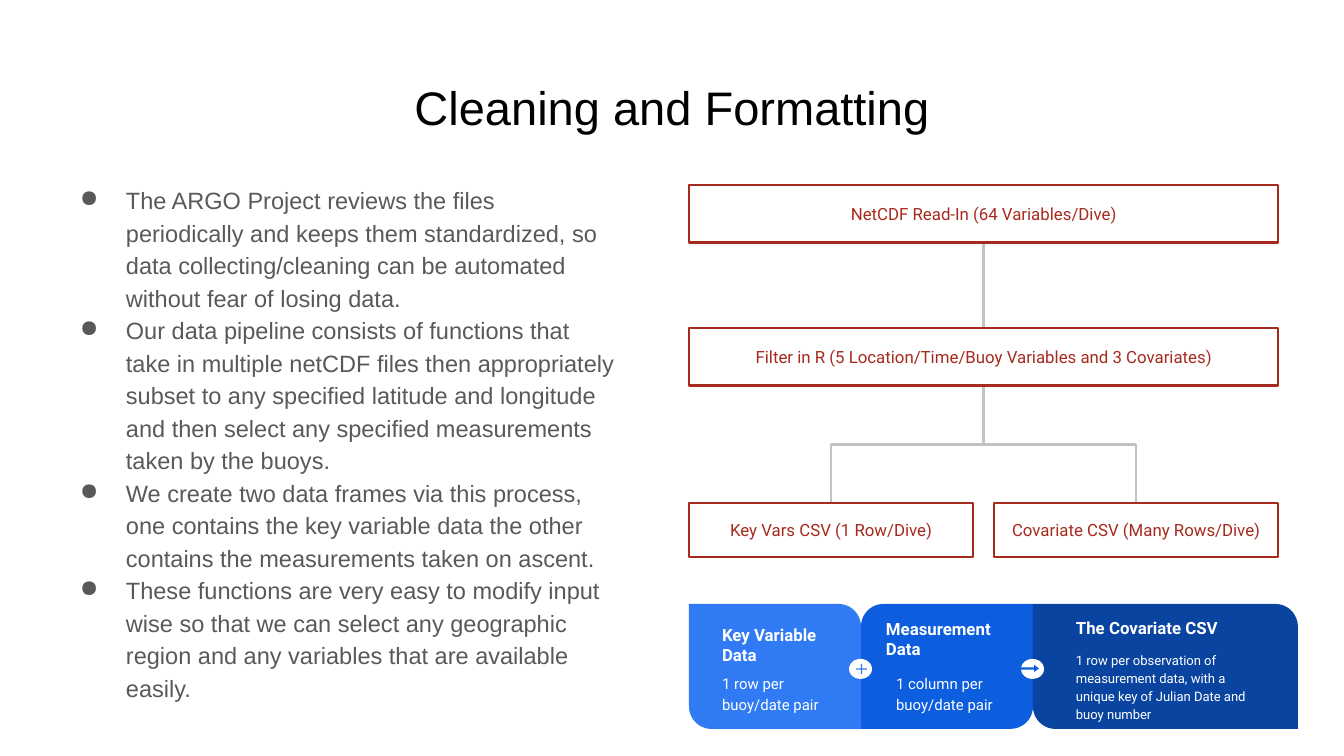
from lxml.etree import SubElement
from pptx import Presentation
from pptx.dml.color import RGBColor
from pptx.enum.shapes import MSO_CONNECTOR, MSO_SHAPE
from pptx.enum.text import MSO_ANCHOR, PP_ALIGN
from pptx.oxml.ns import qn
from pptx.util import Pt

PX = 914400 / 134.4
BLACK = RGBColor(0x00, 0x00, 0x00)
WHITE = RGBColor(0xFF, 0xFF, 0xFF)
GRAY = RGBColor(0x59, 0x59, 0x59)
LINE_GRAY = RGBColor(0xC2, 0xC2, 0xC2)
RED = RGBColor(0xA7, 0x2A, 0x1E)
LIGHT_BLUE = RGBColor(0x30, 0x7B, 0xF3)
BLUE = RGBColor(0x0D, 0x5D, 0xDF)
DARK_BLUE = RGBColor(0x09, 0x44, 0xA1)

BULLETS = [
    "The ARGO Project reviews the files periodically and keeps them standardized, "
    "so data collecting/cleaning can be automated without fear of losing data.",
    "Our data pipeline consists of functions that take in multiple netCDF files then "
    "appropriately subset to any specified latitude and longitude and then select any "
    "specified measurements taken by the buoys.",
    "We create two data frames via this process, one contains the key variable data "
    "the other contains the measurements taken on ascent.",
    "These functions are very easy to modify input wise so that we can select any "
    "geographic region and any variables that are available easily.",
]


def px(n):
    """Turn px into EMU."""
    return round(n * PX)


def fill_text(s, paragraphs, size, color, font="Roboto", bold=False,
              align=PP_ALIGN.LEFT, anchor=MSO_ANCHOR.TOP, spacing=1.0):
    """Write one run per paragraph into a shape and return the paragraphs."""
    tf = s.text_frame
    tf.word_wrap = True
    tf.vertical_anchor = anchor
    tf.margin_left = tf.margin_right = tf.margin_top = tf.margin_bottom = px(13)
    for i, text in enumerate(paragraphs):
        p = tf.paragraphs[0] if i == 0 else tf.add_paragraph()
        p.alignment = align
        p.line_spacing = spacing
        r = p.add_run()
        r.text = text
        r.font.size = Pt(size)
        r.font.name = font
        r.font.bold = bold
        r.font.color.rgb = color
    return tf.paragraphs


def add_text(slide, box, paragraphs, size, color, **style):
    """Add a text box and return its paragraphs."""
    s = slide.shapes.add_textbox(*map(px, box))
    return fill_text(s, paragraphs, size, color, **style)


def add_solid(slide, kind, box, fill, adjustments=()):
    """Add a filled shape without outline."""
    s = slide.shapes.add_shape(kind, *map(px, box))
    s.shadow.inherit = False
    s.fill.solid()
    s.fill.fore_color.rgb = fill
    s.line.fill.background()
    for i, value in enumerate(adjustments):
        s.adjustments[i] = value
    return s


def add_bullets(slide, box):
    """Add the bulleted list on the left."""
    for p in add_text(slide, box, BULLETS, 12.6, GRAY, font="Arial", spacing=1.15):
        pPr = p._p.get_or_add_pPr()
        pPr.set("marL", str(px(67)))
        pPr.set("indent", str(-px(46)))
        color = SubElement(SubElement(pPr, qn("a:buClr")), qn("a:srgbClr"))
        color.set("val", str(GRAY))
        SubElement(pPr, qn("a:buChar")).set("char", "●")


def add_elbow(slide, parent, child):
    """Join the bottom of one box to the top of another, leaving vertically."""
    x1, y1 = parent[0] + parent[2] / 2, parent[1] + parent[3]
    x2, y2 = child[0] + child[2] / 2, child[1]
    cx, cy, dx, dy = (x1 + x2) / 2, (y1 + y2) / 2, x2 - x1, y2 - y1
    s = slide.shapes.add_connector(
        MSO_CONNECTOR.ELBOW, px(cx - dy / 2), px(cy + dx / 2),
        px(cx + dy / 2), px(cy - dx / 2))
    s.line.color.rgb = LINE_GRAY
    s.line.width = Pt(1.5)
    spPr = s._element.spPr
    spPr.find(qn("a:xfrm")).set("rot", "5400000")
    SubElement(spPr, qn("a:effectLst"))


def add_flow(slide, box):
    """Add the tree of processing steps."""
    x, y, w, h = box
    half = 284
    read_in = (x, y, w, 58)
    filtering = (x, y + 143, w, 58)
    key_vars = (x, y + h - 54, half, 54)
    covariates = (x + w - half, y + h - 54, half, 54)
    for parent, child in ((read_in, filtering), (filtering, key_vars),
                          (filtering, covariates)):
        add_elbow(slide, parent, child)
    for step, label in (
            (read_in, "NetCDF Read-In (64 Variables/Dive)"),
            (filtering, "Filter in R (5 Location/Time/Buoy Variables and 3 Covariates)"),
            (key_vars, "Key Vars CSV (1 Row/Dive)"),
            (covariates, "Covariate CSV (Many Rows/Dive)")):
        s = slide.shapes.add_shape(MSO_SHAPE.RECTANGLE, *map(px, step))
        s.shadow.inherit = False
        s.fill.background()
        s.line.color.rgb = RED
        s.line.width = Pt(1.5)
        fill_text(s, [label], 9, RED, align=PP_ALIGN.CENTER, anchor=MSO_ANCHOR.MIDDLE)


def add_card(slide, box, fill, corners, heading, heading_box, body, body_box, body_size):
    """Add one card; its text boxes are relative to its corner."""
    x, y, w, h = box
    add_solid(slide, MSO_SHAPE.ROUND_2_DIAG_RECTANGLE, box, fill, corners)
    for text, (dx, dy, tw, th), size, bold, spacing in (
            (heading, heading_box, 9, True, 1.0),
            (body, body_box, body_size, False, 1.15)):
        add_text(slide, (x + dx, y + dy, tw, th), [text], size, WHITE,
                 bold=bold, spacing=spacing)


def add_badge(slide, x, y):
    """Add a white oval centred on a point."""
    add_solid(slide, MSO_SHAPE.OVAL, (x - 12, y - 10, 23, 20), WHITE)


def add_cards(slide, box):
    """Add the row of three cards and the symbols between them."""
    x, y, w, h = box
    card = 172
    middle, right = x + card, x + 2 * card
    falling, rising = (0.18, 0), (0, 0.18)
    add_card(slide, (middle, y, card, h), BLUE, falling,
             "Measurement Data", (12, 2, 138, 36),
             "1 column per buoy/date pair", (22, 55, 128, 40), 8)
    add_card(slide, (x, y, card, h), LIGHT_BLUE, rising,
             "Key Variable Data", (20, 8, 128, 36),
             "1 row per buoy/date pair", (20, 55, 128, 40), 8)
    add_card(slide, (right, y, w - 2 * card, h), DARK_BLUE, rising,
             "The Covariate CSV", (30, 4, 214, 36),
             "1 row per observation of measurement data, with a unique key of "
             "Julian Date and buoy number", (30, 33, 214, 40), 7)
    cy = y + 65
    add_badge(slide, right, cy)
    add_solid(slide, MSO_SHAPE.RIGHT_ARROW, (right - 12, cy - 4, 18, 7), BLUE, (0.32, 0.67))
    add_badge(slide, middle, cy)
    add_solid(slide, MSO_SHAPE.MATH_PLUS, (middle - 7, cy - 7, 15, 14), LIGHT_BLUE, (0.1,))


def main():
    """Build and save the slide."""
    prs = Presentation()
    prs.slide_width, prs.slide_height = px(1344), px(756)
    slide = prs.slides.add_slide(prs.slide_layouts[6])
    add_text(slide, (46, 66, 1252, 84), ["Cleaning and Formatting"], 25.2, BLACK,
             font="Arial", align=PP_ALIGN.CENTER)
    add_bullets(slide, (46, 169, 585, 551))
    add_flow(slide, (689, 185, 589, 372))
    add_cards(slide, (689, 604, 609, 125))
    prs.save("out.pptx")


if __name__ == "__main__":
    main()
